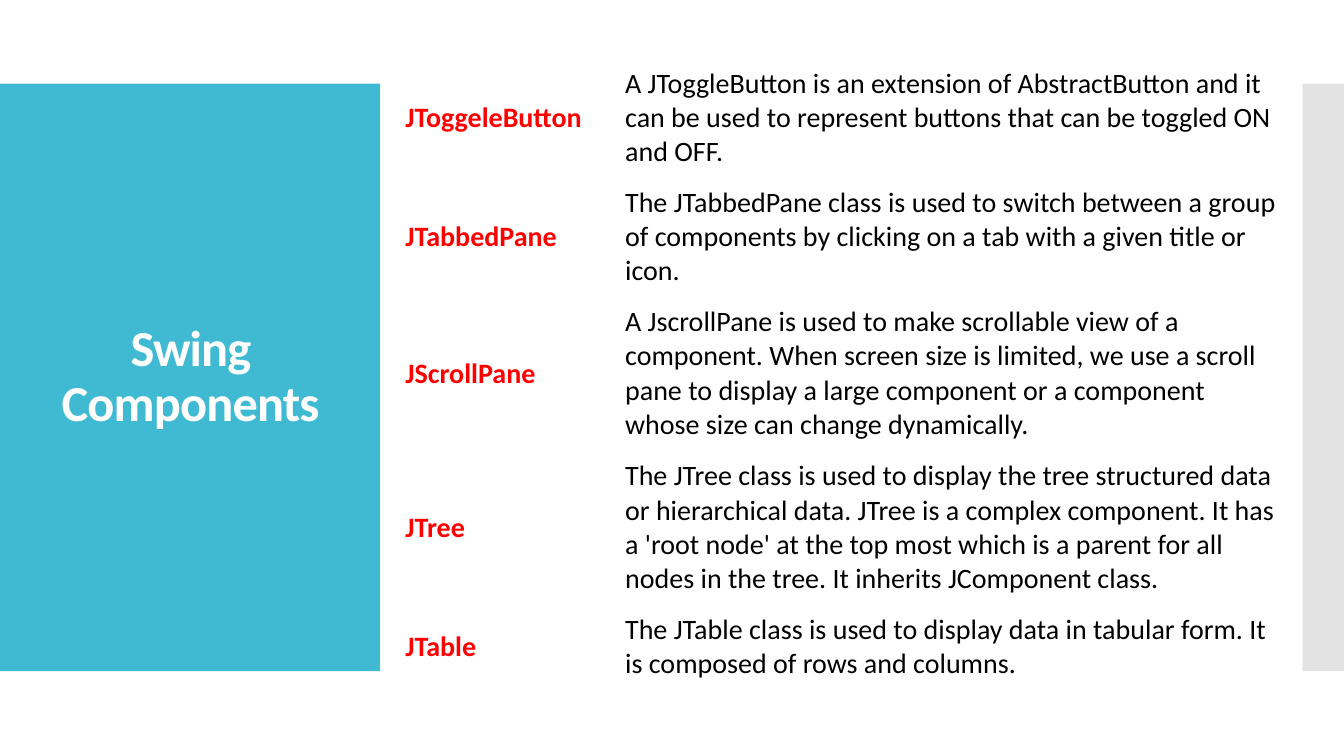
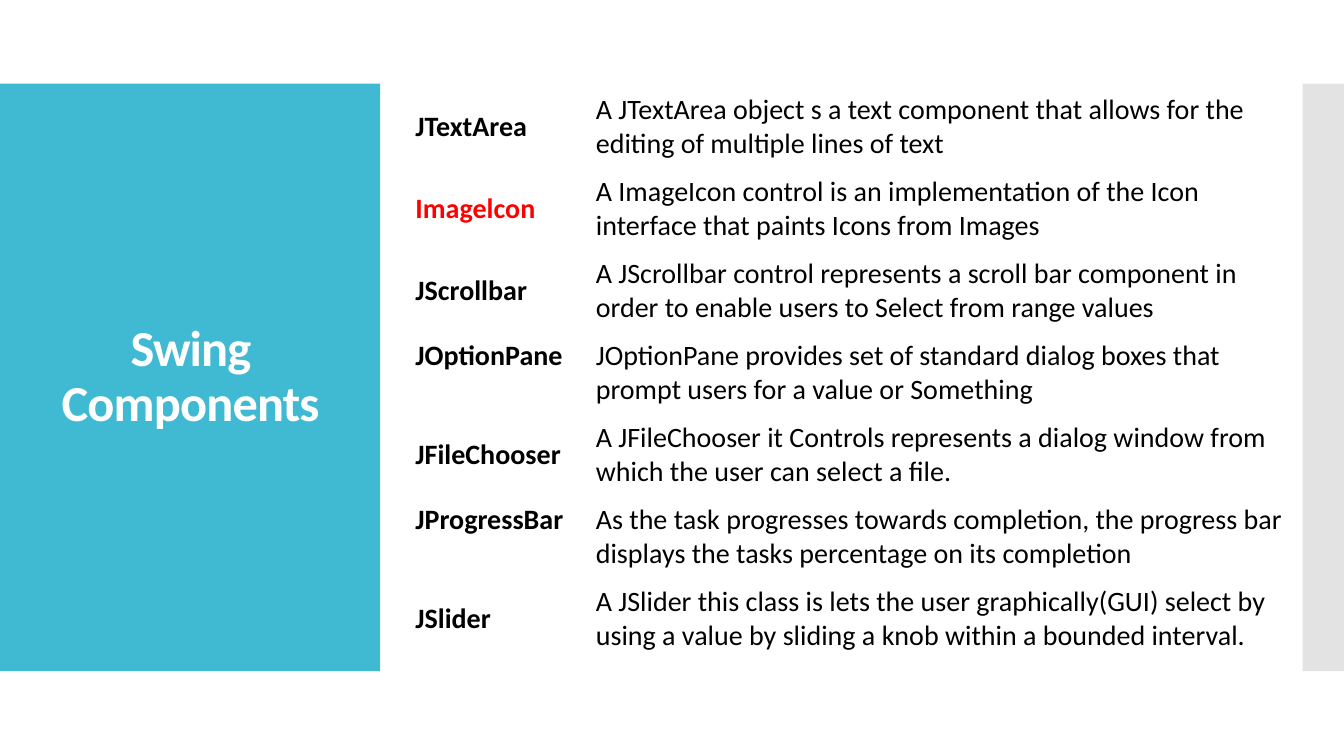
from lxml import etree
from pptx import Presentation
from pptx.dml.color import RGBColor
from pptx.enum.shapes import MSO_SHAPE as Shape
from pptx.enum.text import MSO_ANCHOR as Anchor, MSO_AUTO_SIZE as AutoSize, PP_ALIGN as Align
from pptx.oxml.ns import qn
from pptx.util import Inches, Pt

TEAL = RGBColor(0x40, 0xBA, 0xD2)
GREY = RGBColor(0xC8, 0xC8, 0xC8)
WHITE = RGBColor(0xFF, 0xFF, 0xFF)
BLACK = RGBColor(0x00, 0x00, 0x00)
RED = RGBColor(0xFF, 0x00, 0x00)
FONT = "Calibri"
TITLE = "Swing Components"
# Each band: left, width, colour, opacity in percent
BANDS = [(0, 3.77, TEAL, 100), (12.92, 0.41, GREY, 50)]
CELL_MARGINS = {"margin_left": 0.05, "margin_right": 0.05,
                "margin_top": 0.2 / 3, "margin_bottom": 0.2 / 3}

# Each row: name, name colour, name anchor, description
PAGES = [
    {"left": 3.97, "top": 0.58, "columns": (2.18, 6.57),
     "heights": (1.18, 1.18, 1.53, 1.53, 0.83),
     "rows": [
         ("JToggeleButton", RED, Anchor.MIDDLE,
          "A JToggleButton is an extension of AbstractButton and it can be used "
          "to represent buttons that can be toggled ON and OFF."),
         ("JTabbedPane", RED, Anchor.MIDDLE,
          "The JTabbedPane class is used to switch between a group of components "
          "by clicking on a tab with a given title or icon."),
         ("JScrollPane", RED, Anchor.MIDDLE,
          "A JscrollPane is used to make scrollable view of a component. When "
          "screen size is limited, we use a scroll pane to display a large "
          "component or a component whose size can change dynamically."),
         ("JTree", RED, Anchor.MIDDLE,
          "The JTree class is used to display the tree structured data or "
          "hierarchical data. JTree is a complex component. It has a 'root node' "
          "at the top most which is a parent for all nodes in the tree. It "
          "inherits JComponent class."),
         ("JTable", RED, Anchor.MIDDLE,
          "The JTable class is used to display data in tabular form. It is "
          "composed of rows and columns."),
     ]},
    {"left": 4.07, "top": 0.85, "columns": (1.79, 6.96),
     "heights": (0.81,) * 7,
     "rows": [
         ("JTextArea", BLACK, Anchor.MIDDLE,
          "A JTextArea object s a text component that allows for the editing of "
          "multiple lines of text"),
         ("Imagelcon", RED, Anchor.MIDDLE,
          "A ImageIcon control is an implementation of the Icon interface that "
          "paints Icons from Images"),
         ("JScrollbar", BLACK, Anchor.MIDDLE,
          "A JScrollbar control represents a scroll bar component in order to "
          "enable users to Select from range values"),
         ("JOptionPane", BLACK, Anchor.TOP,
          "JOptionPane provides set of standard dialog boxes that prompt users "
          "for a value or Something"),
         ("JFileChooser", BLACK, Anchor.MIDDLE,
          "A JFileChooser it Controls represents a dialog window from which the "
          "user can select a file."),
         ("JProgressBar", BLACK, Anchor.TOP,
          "As the task progresses towards completion, the progress bar displays "
          "the tasks percentage on its completion"),
         ("JSlider", BLACK, Anchor.MIDDLE,
          "A JSlider this class is lets the user graphically(GUI) select by using "
          "a value by sliding a knob within a bounded interval."),
     ]},
]


def write_text(frame, text, size, color, bold):
    span = frame.paragraphs[0].add_run()
    span.text = text
    span.font.color.rgb = color
    font_values = {"name": FONT, "size": Pt(size), "bold": bold}
    for name, value in font_values.items():
        setattr(span.font, name, value)
    return span


deck = Presentation()
deck.slide_width, deck.slide_height = Inches(13.33), Inches(7.5)

for content in PAGES:
    page = deck.slides.add_slide(deck.slide_layouts[5])
    title = page.shapes.title

    # Side bands, behind the title
    for left, width, color, opacity in BANDS:
        band = page.shapes.add_shape(
            Shape.RECTANGLE, Inches(left), Inches(0.83), Inches(width), Inches(5.83))
        band.shadow.inherit = False
        band.line.fill.background()
        band.fill.solid()
        band.fill.fore_color.rgb = color
        if opacity < 100:
            tint = band.element.find(".//" + qn("a:solidFill"))[0]
            etree.SubElement(tint, qn("a:alpha"), val=str(opacity * 1000))
        title.element.addprevious(band.element)

    # Title
    title.left, title.top = Inches(0.28), Inches(1.23)
    title.width, title.height = Inches(3.22), Inches(5.03)
    frame = title.text_frame
    frame.word_wrap = True
    frame.auto_size = AutoSize.NONE
    frame.vertical_anchor = Anchor.MIDDLE
    para = frame.paragraphs[0]
    para.alignment = Align.CENTER
    para.line_spacing = 0.9
    span = write_text(frame, TITLE, 36, WHITE, True)
    span.font._element.set("spc", "-60")

    # Component table
    rows, columns, heights = content["rows"], content["columns"], content["heights"]
    table = page.shapes.add_table(
        len(rows), len(columns), Inches(content["left"]), Inches(content["top"]),
        Inches(sum(columns)), Inches(sum(heights))).table
    table.first_row = False
    table.horz_banding = False
    for column, width in zip(table.columns, columns):
        column.width = Inches(width)
    for row, height, (name, color, anchor, description) in zip(table.rows, heights, rows):
        row.height = Inches(height)
        name_cell, description_cell = row.cells
        for cell in (name_cell, description_cell):
            cell.fill.solid()
            cell.fill.fore_color.rgb = WHITE
            for side, margin in CELL_MARGINS.items():
                setattr(cell, side, Inches(margin))
        name_cell.vertical_anchor = anchor
        description_cell.vertical_anchor = Anchor.MIDDLE
        write_text(name_cell.text_frame, name, 20, color, True)
        write_text(description_cell.text_frame, description, 20, BLACK, False)

deck.save("out.pptx")
